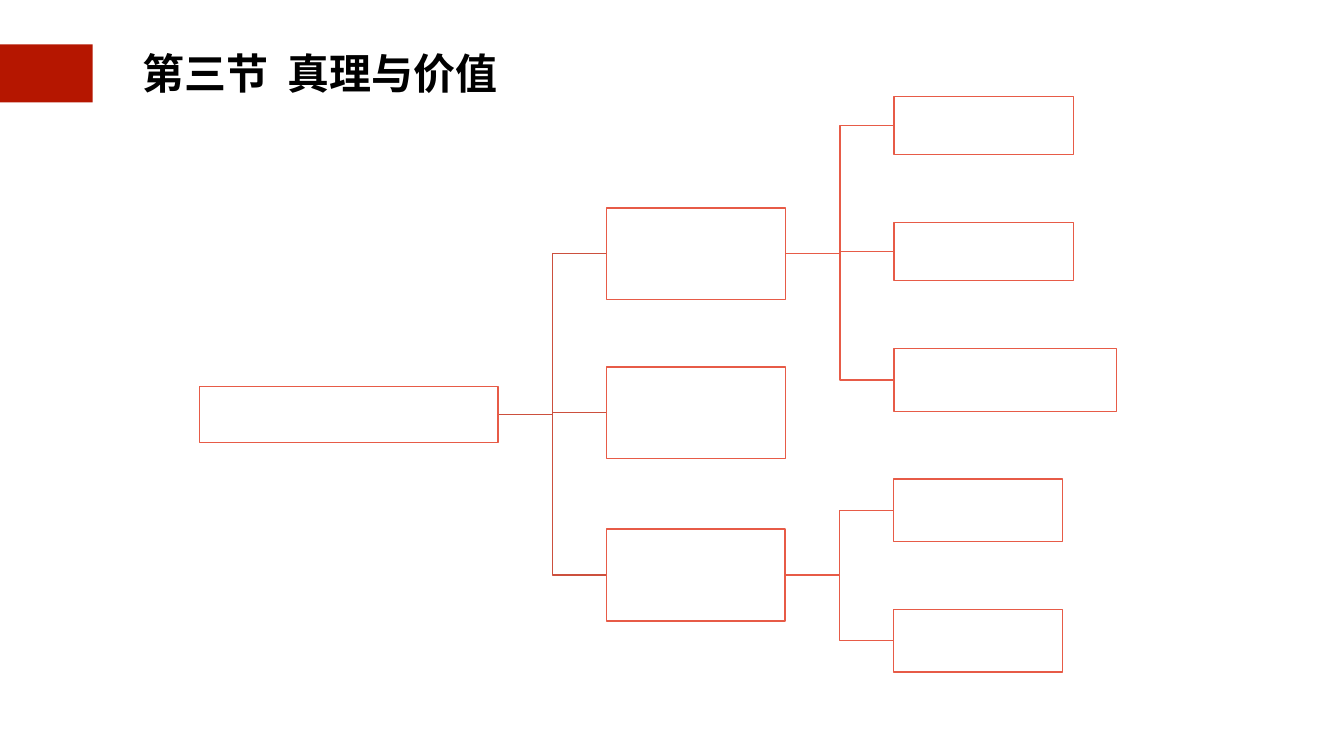
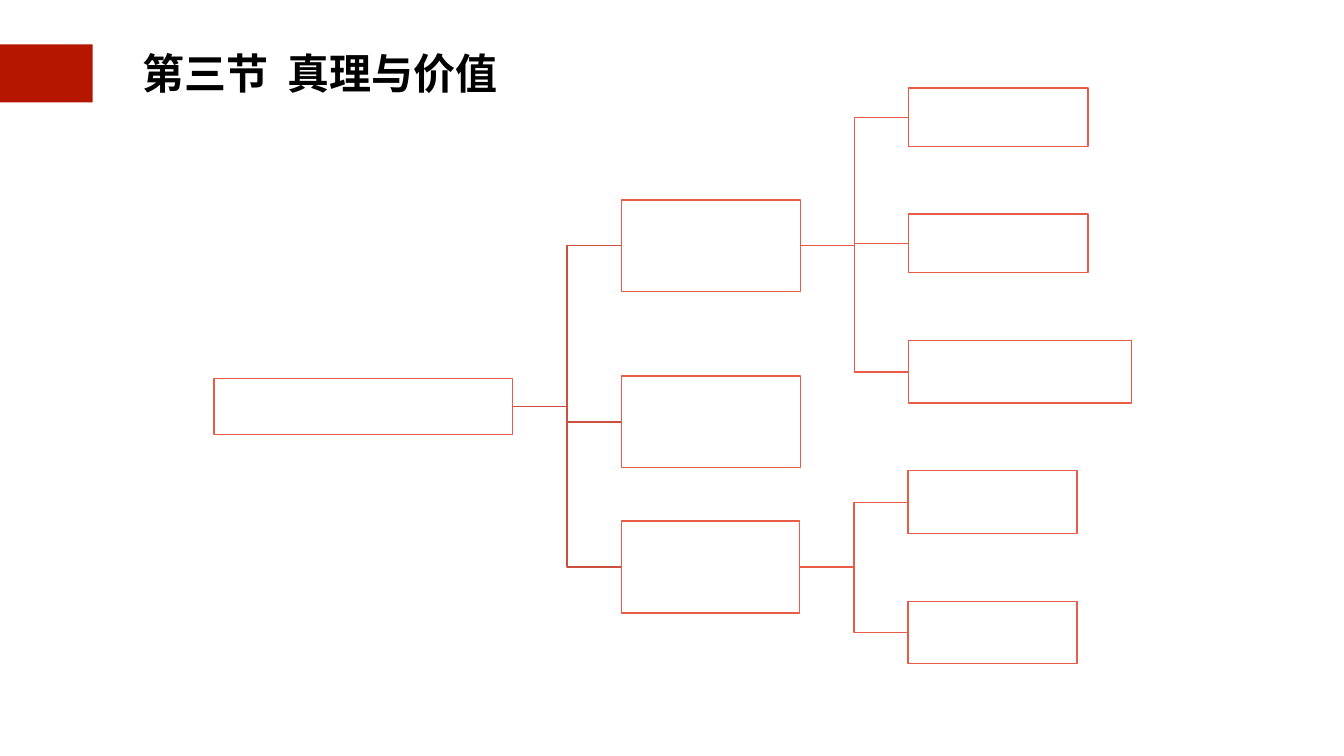
from dataclasses import dataclass

from pptx import Presentation
from pptx import util as u
from pptx.dml.color import RGBColor
from pptx.enum import shapes, text


@dataclass(frozen=True)
class Theme:
    band: str = "B51600"
    ink: str = "000000"
    paper: str = "FFFFFF"
    branch: str = "E75B47"
    trunk: str = "CC503E"
    font: str = "Roboto"
    title_size: int = 60
    line_width: int = 2


@dataclass(frozen=True)
class Box:
    left: float
    top: float
    width: float
    height: float
    children: tuple = ()

    @property
    def right(self):
        return self.left + self.width

    @property
    def middle(self):
        return self.top + self.height / 2


THEME = Theme()
TITLE = "第三节  真理与价值"


def rgb(value):
    return RGBColor.from_string(value)


def set_line(sp, color):
    sp.line.color.rgb = rgb(color)
    sp.line.width = u.Pt(THEME.line_width)


def add_rect(slide, left, top, width, height, fill, line=None):
    sp = slide.shapes.add_shape(shapes.MSO_SHAPE.RECTANGLE,
                                *map(u.Inches, (left, top, width, height)))
    sp.shadow.inherit = False
    sp.fill.solid()
    sp.fill.fore_color.rgb = rgb(fill)
    if line:
        set_line(sp, line)
    else:
        sp.line.fill.background()
    return sp


def add_text(slide, words, left, top, width, height, *, size, color,
             bold=False, align=text.PP_ALIGN.CENTER, inset=0.06):
    sp = slide.shapes.add_textbox(*map(u.Inches, (left, top, width, height)))
    tf = sp.text_frame
    tf.word_wrap = False
    tf.auto_size = text.MSO_AUTO_SIZE.SHAPE_TO_FIT_TEXT
    tf.vertical_anchor = text.MSO_ANCHOR.MIDDLE
    tf.margin_left = tf.margin_right = u.Inches(inset)
    tf.margin_top = tf.margin_bottom = u.Inches(inset)
    p = tf.paragraphs[0]
    p.alignment = align
    r = p.add_run()
    r.text = words
    r.font.name = THEME.font
    r.font.size = u.Pt(size)
    r.font.bold = bold
    r.font.color.rgb = rgb(color)
    return sp


def add_elbow(slide, parent, child, color):
    """Stepped line from the parent's right side to the child's left side."""
    bend = (parent.right + child.left) / 2
    points = [(parent.right, parent.middle), (bend, parent.middle),
              (bend, child.middle), (child.left, child.middle)]
    start, *rest = [(u.Inches(x), u.Inches(y)) for x, y in points]
    builder = slide.shapes.build_freeform(*start)
    builder.add_line_segments(rest, close=False)
    sp = builder.convert_to_shape()
    sp.shadow.inherit = False
    sp.fill.background()
    set_line(sp, color)


def add_links(slide, parent, color):
    for child in parent.children:
        add_links(slide, child, THEME.branch)
        add_elbow(slide, parent, child, color)


def add_boxes(slide, box):
    add_rect(slide, box.left, box.top, box.width, box.height,
             THEME.paper, THEME.branch)
    for child in box.children:
        add_boxes(slide, child)


def add_header(slide):
    add_rect(slide, -0.03, 0.88, 1.87, 1.15, THEME.band)
    add_text(slide, TITLE, 2.72, 0.81, 7.26, 1.28,
             size=THEME.title_size, color=THEME.ink, bold=True)


def make_tree(dx, dy, middle_top):
    """Three-level outline moved by dx, dy; the middle topic has its own top."""
    def box(left, top, width, height, *children):
        return Box(left + dx, top + dy, width, height, children)

    upper = box(12.04, 4.13, 3.55, 1.81,
                box(17.74, 1.91, 3.56, 1.16),
                box(17.74, 4.41, 3.56, 1.16),
                box(17.74, 6.92, 4.42, 1.24))
    middle = Box(12.04 + dx, middle_top, 3.55, 1.82)
    lower = box(12.04, 10.5, 3.54, 1.82,
                box(17.73, 9.5, 3.35, 1.25),
                box(17.73, 12.09, 3.35, 1.24))
    return box(3.96, 7.67, 5.92, 1.11, upper, middle, lower)


def add_tree_slide(prs, root):
    slide = prs.slides.add_slide(prs.slide_layouts[6])
    fill = slide.background.fill
    fill.solid()
    fill.fore_color.rgb = rgb(THEME.paper)
    add_header(slide)
    # Links lie behind the boxes
    add_links(slide, root, THEME.trunk)
    add_boxes(slide, root)


def main():
    prs = Presentation()
    prs.slide_width = u.Inches(26.67)
    prs.slide_height = u.Inches(15)

    # Slide 1: evenly spread topics
    add_tree_slide(prs, make_tree(0, 0, 7.28))
    # Slide 2: tree moved right and up, middle topic lower
    add_tree_slide(prs, make_tree(0.29, -0.16, 7.46))

    prs.save("out.pptx")


if __name__ == "__main__":
    main()
